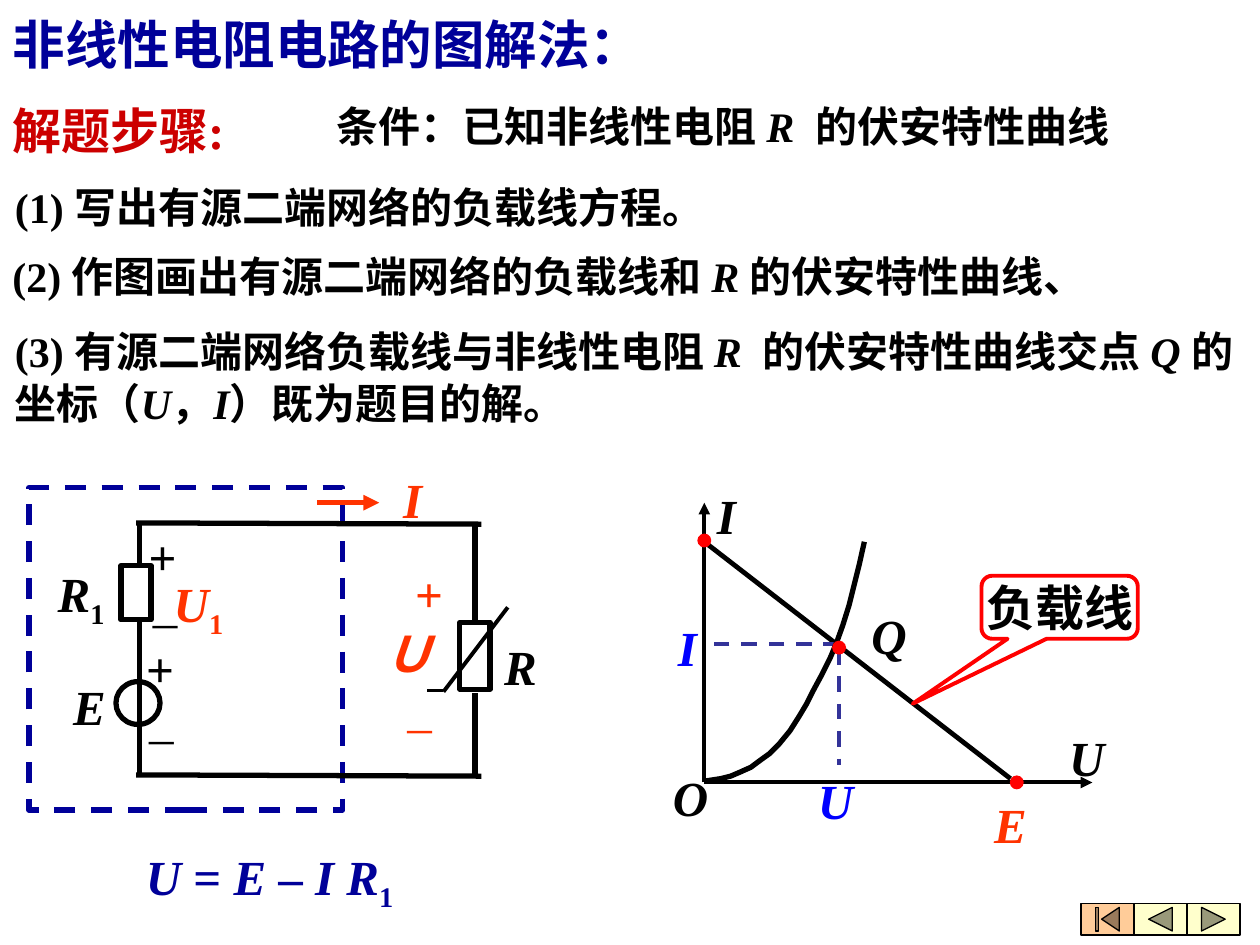
from pptx import Presentation
from pptx.dml.color import RGBColor
from pptx.enum.dml import MSO_LINE
from pptx.enum.shapes import MSO_CONNECTOR, MSO_SHAPE
from pptx.enum.text import MSO_ANCHOR, MSO_AUTO_SIZE, PP_ALIGN
from pptx.oxml.ns import qn
from pptx.util import Inches, Pt
from lxml.etree import SubElement

FONT = "Times New Roman"
COLORS = {
    "black": "000000", "white": "FFFFFF", "navy": "000099", "crimson": "CC0000",
    "orange": "FF3300", "blue": "0000FF", "indigo": "333399", "red": "FF0000",
    "cream": "FFFFCC", "peach": "FFCC99",
}
CURVE = [
    (5.59, 6.2), (5.72, 6.18), (5.8, 6.16), (5.87, 6.13), (5.96, 6.09), (6.04, 6.03),
    (6.11, 5.98), (6.18, 5.91), (6.27, 5.8), (6.34, 5.69), (6.4, 5.59), (6.45, 5.49),
    (6.52, 5.36), (6.59, 5.22), (6.64, 5.1), (6.69, 4.96), (6.74, 4.8), (6.78, 4.64),
    (6.82, 4.48), (6.86, 4.3),
]


def rgb(name):
    """Return the named colour."""
    return RGBColor.from_string(COLORS[name])


def box_lengths(box):
    """Turn a box given in inches into lengths."""
    return [Inches(value) for value in box]


def write_text(shape, text, color="black", size=28, bold=True, align=PP_ALIGN.LEFT,
               spacing=1.0, anchor=MSO_ANCHOR.TOP, wrap=True, subscript=""):
    """Fill a shape with one paragraph, where asterisks enclose italics."""
    frame = shape.text_frame
    frame.word_wrap = wrap
    frame.auto_size = MSO_AUTO_SIZE.NONE
    frame.vertical_anchor = anchor
    paragraph = frame.paragraphs[0]
    paragraph.alignment = align
    paragraph.line_spacing = spacing
    pieces = [(piece, index % 2 == 1) for index, piece in enumerate(text.split("*"))]
    for piece, italic in pieces + [(subscript, False)]:
        if piece:
            run = paragraph.add_run()
            run.text = piece
            font = run.font
            font.name, font.size, font.bold, font.italic = FONT, Pt(size), bold, italic
            font.color.rgb = rgb(color)
    if subscript:
        run.font._element.set("baseline", "-25000")


def add_text(slide, box, text, **options):
    """Add a text box."""
    write_text(slide.shapes.add_textbox(*box_lengths(box)), text, **options)


def add_symbol(slide, box, text, **options):
    """Add a centred label that does not wrap."""
    add_text(slide, box, text, align=PP_ALIGN.CENTER, wrap=False, **options)


def style_line(line, color, width, dashed=False):
    """Set the colour, width and dash of a line."""
    line.color.rgb = rgb(color)
    line.width = Pt(width)
    if dashed:
        line.dash_style = MSO_LINE.DASH


def add_line(slide, start, end, color="black", width=3, dashed=False, arrow=False):
    """Add a straight line, with an arrowhead at its end if asked."""
    connector = slide.shapes.add_connector(
        MSO_CONNECTOR.STRAIGHT, *box_lengths(start + end))
    style_line(connector.line, color, width, dashed)
    if arrow:
        SubElement(connector.line._get_or_add_ln(), qn("a:tailEnd"), type="triangle")
    SubElement(connector._element.spPr, qn("a:effectLst"))


def add_shape(slide, kind, box, fill=None, color="black", width=3.0, dashed=False):
    """Add a preset shape, hollow unless a fill is named."""
    shape = slide.shapes.add_shape(kind, *box_lengths(box))
    shape.shadow.inherit = False
    if fill:
        shape.fill.solid()
        shape.fill.fore_color.rgb = rgb(fill)
    else:
        shape.fill.background()
    style_line(shape.line, color, width, dashed)
    return shape


def add_curve(slide, points):
    """Add an open outline through the points."""
    lengths = [(Inches(x), Inches(y)) for x, y in points]
    builder = slide.shapes.build_freeform(*lengths[0])
    builder.add_line_segments(lengths[1:], close=False)
    curve = builder.convert_to_shape()
    curve.shadow.inherit = False
    curve.fill.background()
    style_line(curve.line, "black", 3)


def add_steps(slide):
    """Add the title, the condition and the solution steps."""
    title = slide.shapes.title
    title.left, title.top, title.width, title.height = box_lengths((0, 0, 6.61, 0.75))
    middle = MSO_ANCHOR.MIDDLE
    write_text(title, "非线性电阻电路的图解法：", color="navy", size=30, spacing=0.9,
               anchor=middle)
    add_text(slide, (0, 0.59, 2.45, 0.69), "解题步骤:", color="crimson", spacing=1.4,
             anchor=middle)
    add_text(slide, (2.04, 0.75, 7.4, 0.5), "条件：已知非线性电阻 *R  *的伏安特性曲线",
             size=24, align=PP_ALIGN.CENTER)
    steps = [
        ((0.02, 1.33, 6.13, 0.54), 1.2, "(1) 写出有源二端网络的负载线方程。"),
        ((0, 1.93, 9.67, 0.5), 1.05,
         "(2) 作图画出有源二端网络的负载线和 *R *的伏安特性曲线、"),
        ((0.02, 2.51, 9.98, 0.94), 1.05,
         "(3) 有源二端网络负载线与非线性电阻 *R  *的伏安特性曲线交点 *Q *"
         "的坐标（*U*，*I*）既为题目的解。"),
    ]
    for box, spacing, text in steps:
        add_text(slide, box, text, size=24, spacing=spacing, anchor=middle)


def add_circuit(slide):
    """Add the circuit with its labels and load-line equation."""
    add_shape(slide, MSO_SHAPE.RECTANGLE, (0.23, 3.87, 2.49, 2.56), color="navy",
              dashed=True)
    add_shape(slide, MSO_SHAPE.OVAL, (0.92, 5.41, 0.35, 0.34))
    for box in [(0.96, 4.49, 0.24, 0.43), (3.65, 4.94, 0.24, 0.53)]:
        add_shape(slide, MSO_SHAPE.RECTANGLE, box)
    wires = [
        ((1.08, 4.15), (3.82, 4.16)), ((1.08, 6.15), (3.82, 6.16)),
        ((1.11, 4.15), (1.11, 4.49)), ((1.11, 4.9), (1.11, 6.15)),
        ((3.77, 4.15), (3.77, 4.92)), ((3.77, 5.5), (3.77, 6.15)),
    ]
    for start, end in wires:
        add_line(slide, start, end)
    add_line(slide, (3.39, 5.48), (3.52, 5.48), width=2.25)
    add_line(slide, (3.52, 5.49), (4.03, 4.82), width=2.25)
    add_line(slide, (2.52, 3.99), (3.01, 3.99), color="orange", arrow=True)

    for left, top in [(1.08, 4.13), (1.06, 5.02)]:
        add_symbol(slide, (left, top, 0.42, 0.57), "+")
    for left, top in [(1.11, 4.5), (1.08, 5.42)]:
        add_symbol(slide, (left, top, 0.4, 0.57), "_", bold=False)
    add_text(slide, (0.36, 4.42, 0.93, 0.57), "*R*", subscript="1")
    add_symbol(slide, (0.48, 5.32, 0.46, 0.57), "*E*")
    add_symbol(slide, (3.9, 5, 0.46, 0.57), "*R*")
    add_symbol(slide, (1.27, 4.5, 0.61, 0.57), "*U*", color="orange", subscript="1")
    add_symbol(slide, (2.94, 4.9, 0.59, 0.57), "*Ｕ*", color="orange")
    tall = {"color": "orange", "spacing": 1.4, "anchor": MSO_ANCHOR.MIDDLE}
    add_symbol(slide, (3.03, 3.52, 0.49, 0.69), "*I*", **tall)
    add_symbol(slide, (3.19, 4.27, 0.43, 0.69), "+", **tall)
    add_symbol(slide, (3.13, 5.18, 0.4, 0.69), "_", bold=False, **tall)
    add_text(slide, (0.96, 6.67, 2.36, 0.57), "*U* = *E *– *I R*", color="navy",
             align=PP_ALIGN.CENTER, subscript="1")


def add_graph(slide):
    """Add the load line, the characteristic curve and their crossing."""
    add_line(slide, (5.59, 4.3), (8.02, 6.18), width=2.75)
    for end in [(6.66, 6.07), (5.63, 5.11)]:
        start = (6.66, 5.15) if end[0] == 6.66 else (6.66, 5.11)
        add_line(slide, start, end, color="indigo", width=2.25, dashed=True)
    for end in [(8.67, 6.21), (5.59, 3.99)]:
        add_line(slide, (5.59, 6.21), end, width=2.25, arrow=True)
    add_curve(slide, CURVE)

    tall = {"spacing": 1.4, "anchor": MSO_ANCHOR.MIDDLE}
    add_symbol(slide, (5.59, 3.65, 0.35, 0.69), "*I*", **tall)
    add_symbol(slide, (8.38, 5.57, 0.49, 0.69), "*U*", **tall)
    add_symbol(slide, (6.81, 4.6, 0.49, 0.69), "*Q*", **tall)
    add_symbol(slide, (7.79, 6.1, 0.46, 0.69), "*E*", color="orange", **tall)
    add_symbol(slide, (5.24, 6.04, 0.48, 0.57), "*O*")
    add_symbol(slide, (6.39, 6.07, 0.48, 0.57), "*U*", color="blue")
    add_symbol(slide, (5.28, 4.85, 0.35, 0.57), "*I*", color="blue")

    callout = add_shape(slide, MSO_SHAPE.ROUNDED_RECTANGULAR_CALLOUT,
                        (7.79, 4.57, 1.24, 0.5), fill="white", color="red", width=2.25)
    for index, value in enumerate((-0.94, 1.53, 0.17)):
        callout.adjustments[index] = value
    write_text(callout, "负载线", align=PP_ALIGN.CENTER, anchor=MSO_ANCHOR.MIDDLE,
               wrap=False)
    for left, top in [(5.54, 4.24), (6.61, 5.09), (8.02, 6.16)]:
        add_shape(slide, MSO_SHAPE.OVAL, (left, top, 0.1, 0.1), fill="red",
                  color="red", width=0.75)


def add_buttons(slide):
    """Add the row of navigation buttons."""
    buttons = [
        (MSO_SHAPE.ACTION_BUTTON_BEGINNING, "peach"),
        (MSO_SHAPE.ACTION_BUTTON_BACK_OR_PREVIOUS, "cream"),
        (MSO_SHAPE.ACTION_BUTTON_FORWARD_OR_NEXT, "cream"),
    ]
    for index, (kind, fill) in enumerate(buttons):
        add_shape(slide, kind, (8.58 + 0.42 * index, 7.17, 0.42, 0.25), fill=fill,
                  width=0.75)


def main():
    """Build the slide and save it."""
    presentation = Presentation()
    presentation.slide_width, presentation.slide_height = Inches(10), Inches(7.5)
    slide = presentation.slides.add_slide(presentation.slide_layouts[5])
    add_steps(slide)
    add_circuit(slide)
    add_graph(slide)
    add_buttons(slide)
    presentation.save("out.pptx")


if __name__ == "__main__":
    main()
